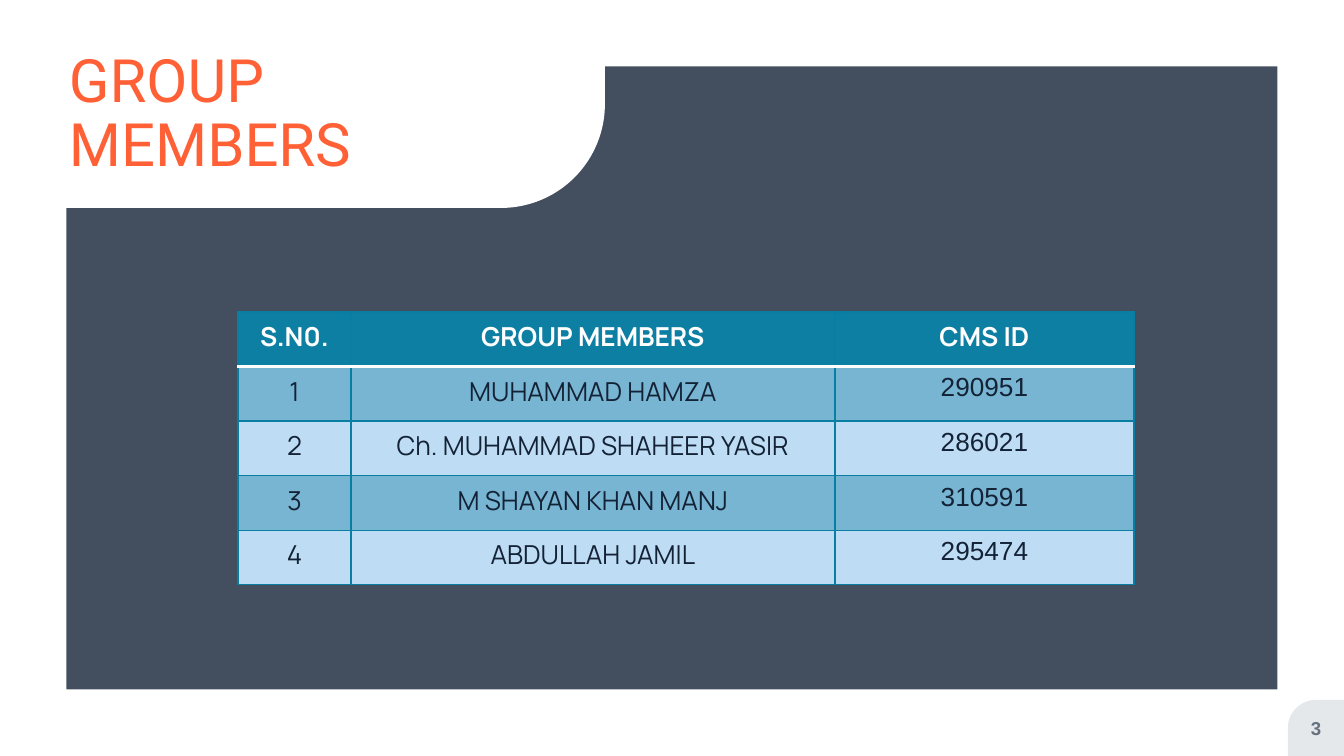
from pptx import Presentation
from pptx.dml.color import RGBColor
from pptx.enum.shapes import MSO_SHAPE
from pptx.enum.text import MSO_ANCHOR, PP_ALIGN
from pptx.oxml.ns import qn
from pptx.util import Pt
from lxml import etree

RECTANGLE = MSO_SHAPE.RECTANGLE
FRAME = MSO_SHAPE.FRAME
ONE_ROUND = MSO_SHAPE.ROUND_1_RECTANGLE
MIDDLE = MSO_ANCHOR.MIDDLE
LEFT, CENTER = PP_ALIGN.LEFT, PP_ALIGN.CENTER

PX = 914400 / 134.4
WIDTH, HEIGHT = 1344, 756
THEME = {
    "navy": "142236", "white": "FFFFFF", "tab": "E5E8EB", "border": "097EA3",
    "header": "0D7FA3", "odd_row": "78B5D3", "even_row": "BEDDF5",
    "title": {"name": "Roboto", "size": 32, "color": "FF6035", "bold": False},
    "number": {"name": "Arial", "size": 10, "color": "667180", "bold": True},
    "heading": {"name": "Manrope", "size": 14, "color": "FFFFFF", "bold": True},
    "member": {"name": "Manrope", "size": 14, "color": "142236", "bold": False},
    "id": {"name": "Arial", "size": 14, "color": "142236", "bold": False},
}


def px(*lengths):
    return [round(length * PX) for length in lengths]


def write(frame, text, style, align):
    para = frame.paragraphs[0]
    para.alignment = align
    span = para.add_run()
    span.text = text
    for name, value in style.items():
        if name == "color":
            span.font.color.rgb = RGBColor.from_string(value)
        else:
            setattr(span.font, name, Pt(value) if name == "size" else value)
    return para


deck = Presentation()
deck.slide_width, deck.slide_height = px(WIDTH, HEIGHT)
page = deck.slides.add_slide(deck.slide_layouts[6])

# Backdrop: dark panel, white frame, title corner and page tab
backdrop = [
    (RECTANGLE, (0, 0, WIDTH, HEIGHT), "navy", None, None),
    (FRAME, (0, 0, WIDTH, HEIGHT), "white", 0.088, None),
    (ONE_ROUND, (0, 0, 605, 208), "white", 0.5, "flipV"),
    (ONE_ROUND, (1288, 700, 56, 56), "tab", 0.5, "flipH"),
]
for kind, place, color, adjustment, flip in backdrop:
    shape = page.shapes.add_shape(kind, *px(*place))
    shape.shadow.inherit = False
    shape.fill.solid()
    shape.fill.fore_color.rgb = RGBColor.from_string(THEME[color])
    shape.line.fill.background()
    if adjustment:
        shape.adjustments[0] = adjustment
    if flip:
        shape._element.spPr.xfrm.set(flip, "1")
    if color == "navy":
        tint = shape._element.spPr.find(".//" + qn("a:srgbClr"))
        etree.SubElement(tint, qn("a:alpha"), val="80000")

# Title and page number
texts = [
    ("GROUP MEMBERS", (69, 11, 466, 208), "title", LEFT, 0.9),
    ("3", (1288, 700, 56, 56), "number", CENTER, 1.0),
]
for text, place, style, align, spacing in texts:
    frame = page.shapes.add_textbox(*px(*place)).text_frame
    layout = {"word_wrap": True, "vertical_anchor": MIDDLE, "margin_left": 0,
              "margin_right": 0, "margin_top": 0, "margin_bottom": 0}
    for name, value in layout.items():
        setattr(frame, name, value)
    write(frame, text, THEME[style], align).line_spacing = spacing

# Members table
rows = [
    ("S.N0.", "GROUP MEMBERS", "CMS ID"),
    ("1", "MUHAMMAD HAMZA", "290951"),
    ("2", "Ch. MUHAMMAD SHAHEER YASIR", "286021"),
    ("3", "M SHAYAN KHAN MANJ", "310591"),
    ("4", "ABDULLAH JAMIL", "295474"),
]
widths = px(113, 484, 299)
table = page.shapes.add_table(
    len(rows), len(widths), *px(238, 312, 896, 273)).table
for column, width in zip(table.columns, widths):
    column.width = width

for row, values in enumerate(rows):
    fill = "header" if row == 0 else "odd_row" if row % 2 else "even_row"
    for column, text in enumerate(values):
        cell = table.cell(row, column)
        style = "heading" if row == 0 else "id" if column == 2 else "member"
        write(cell.text_frame, text, THEME[style], CENTER)

        # Borders, with a thick white rule under the header
        properties = cell._tc.get_or_add_tcPr()
        for side in ("lnL", "lnR", "lnT", "lnB"):
            rule = (row, side) in ((0, "lnB"), (1, "lnT"))
            line = etree.SubElement(properties, qn("a:" + side),
                                    w=str(Pt(2) if rule else Pt(0.75)))
            solid = etree.SubElement(line, qn("a:solidFill"))
            etree.SubElement(solid, qn("a:srgbClr"),
                             val=THEME["white" if rule else "border"])
        cell.fill.solid()
        cell.fill.fore_color.rgb = RGBColor.from_string(THEME[fill])

deck.save("out.pptx")
